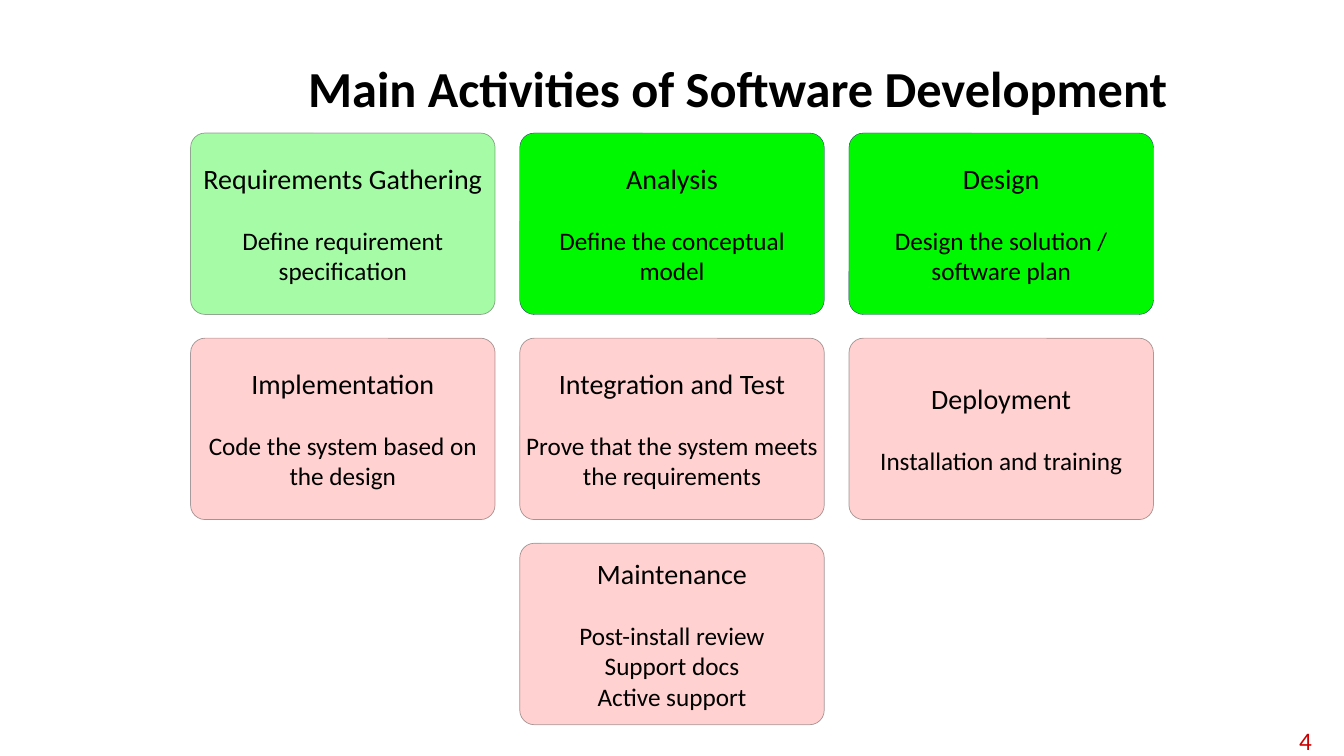
from lxml import etree
from pptx import Presentation
from pptx.dml.color import RGBColor
from pptx.enum import shapes, text
from pptx.oxml.ns import qn
from pptx.util import Inches, Pt

GREEN, RED, BLACK, NAVY = "00F900", "FF7E79", "000000", "1F3864"


def paint(fill, color, opacity=100):
    """Fill a shape or line with a hex colour at the given opacity in percent."""
    fill.solid()
    fill.fore_color.rgb = RGBColor.from_string(color)
    if opacity < 100:
        clr = fill._xPr.find(qn("a:solidFill"))[0]
        etree.SubElement(clr, qn("a:alpha"), val=str(opacity * 1000))


def add_run(p, words, size, color=BLACK, bold=False):
    r = p.add_run()
    r.text = words
    r.font.name = "Calibri"
    r.font.size = Pt(size)
    r.font.bold = bold
    paint(r.font.fill, color)


prs = Presentation()
prs.slide_width, prs.slide_height = Inches(13.33), Inches(7.5)
s = prs.slides.add_slide(prs.slide_layouts[5])

# Title
title = s.shapes.title
title.left, title.top = Inches(2.23), Inches(0.39)
title.width, title.height = Inches(10.18), Inches(1.02)
tf = title.text_frame
tf.vertical_anchor = text.MSO_ANCHOR.MIDDLE
p = tf.paragraphs[0]
p.alignment = text.PP_ALIGN.CENTER
p.line_spacing = 0.9
add_run(p, "Main Activities of Software Development", 36, bold=True)

# Activity boxes: column, row, fill, opacity, line colour, line width, heading, details
faint, solid = (35, BLACK, 0.5), (100, NAVY, 0.25)
activities = [
    (0, 0, GREEN, faint, "Requirements Gathering", ["Define requirement specification"]),
    (1, 0, GREEN, solid, "Analysis", ["Define the conceptual model"]),
    (2, 0, GREEN, solid, "Design", ["Design the solution / software plan"]),
    (0, 1, RED, faint, "Implementation", ["Code the system based on the design"]),
    (1, 1, RED, faint, "Integration and Test", ["Prove that the system meets the requirements"]),
    (2, 1, RED, faint, "Deployment", ["Installation and training"]),
    (1, 2, RED, faint, "Maintenance", ["Post-install review", "Support docs", "Active support"]),
]
width, height = 3.02, 1.8
column_step, row_step = 6.53 / 2, 4.07 / 2

for column, row, color, (opacity, line_color, line_width), heading, details in activities:
    sp = s.shapes.add_shape(
        shapes.MSO_SHAPE.ROUNDED_RECTANGLE,
        Inches(1.89 + column * column_step), Inches(1.32 + row * row_step),
        Inches(width), Inches(height))
    sp.adjustments[0] = 0.08
    sp.shadow.inherit = False
    paint(sp.fill, color, opacity)
    sp.line.width = Pt(line_width)
    paint(sp.line.fill, line_color, opacity)

    tf = sp.text_frame
    tf.word_wrap = True
    tf.vertical_anchor = text.MSO_ANCHOR.MIDDLE
    tf.margin_left = tf.margin_right = tf.margin_top = tf.margin_bottom = 0
    p = tf.paragraphs[0]
    p.alignment = text.PP_ALIGN.CENTER
    p.space_after = Pt(21.5)
    add_run(p, heading, 20)
    for detail in details:
        p = tf.add_paragraph()
        p.alignment = text.PP_ALIGN.CENTER
        add_run(p, detail, 18)

# Slide number
number = s.shapes.add_textbox(Inches(12.42), Inches(7.19), Inches(0.69), Inches(0.31))
tf = number.text_frame
tf.word_wrap = True
tf.vertical_anchor = text.MSO_ANCHOR.MIDDLE
tf.margin_top = tf.margin_bottom = 0
p = tf.paragraphs[0]
p.alignment = text.PP_ALIGN.RIGHT
add_run(p, "4", 18, "CC0000")

prs.save("out.pptx")
